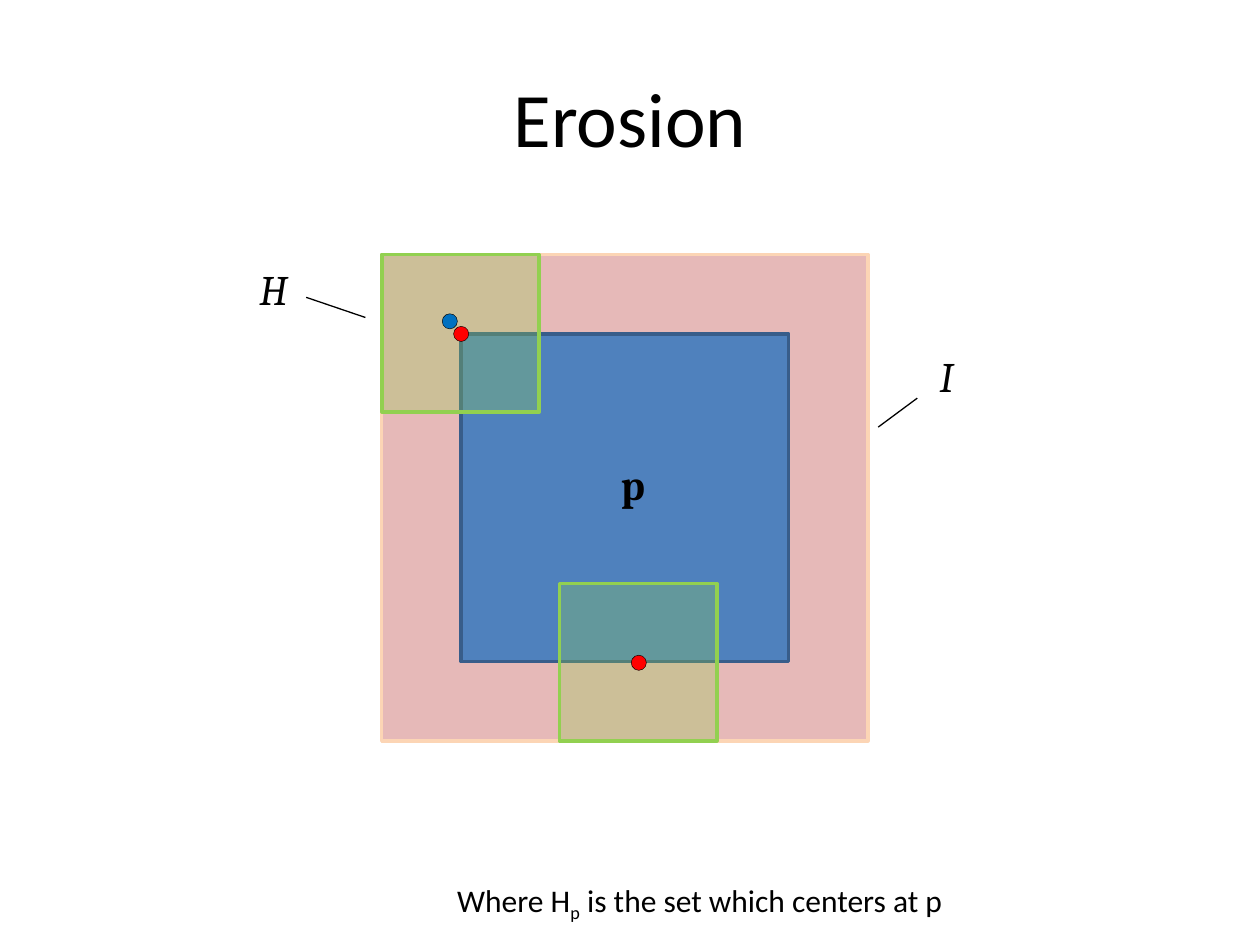
from lxml import etree
from pptx import Presentation
from pptx.dml.color import RGBColor
from pptx.enum.shapes import MSO_CONNECTOR, MSO_SHAPE
from pptx.enum.text import MSO_ANCHOR, PP_ALIGN
from pptx.oxml.ns import qn
from pptx.util import Inches, Pt

BLACK = RGBColor(0, 0, 0)
PINK = RGBColor(0xE6, 0xB9, 0xB8)
PEACH = RGBColor(0xFC, 0xD5, 0xB5)
BLUE = RGBColor(0x4F, 0x81, 0xBD)
NAVY = RGBColor(0x38, 0x5D, 0x8A)
GREEN = RGBColor(0x92, 0xD0, 0x50)
RED = RGBColor(0xFF, 0, 0)
AZURE = RGBColor(0, 0x70, 0xC0)


def add_text(slide, box, text, size=24, font="Cambria", bold=False,
             italic=False, align=PP_ALIGN.LEFT, anchor=MSO_ANCHOR.TOP,
             wrap=False, sub=None):
    frame = slide.shapes.add_textbox(*map(Inches, box)).text_frame
    frame.word_wrap = wrap
    frame.vertical_anchor = anchor
    para = frame.paragraphs[0]
    para.alignment = align
    parts = [text] if sub is None else text.partition(sub)
    for i, part in enumerate(parts):
        run = para.add_run()
        run.text = part
        run.font.name = font
        run.font.size = Pt(size)
        run.font.bold = bold
        run.font.italic = italic
        run.font.color.rgb = BLACK
        if i == 1:
            run.font._element.set("baseline", "-25000")


def add_form(group, kind, box, fill, edge, width, alpha=None):
    form = group.add_shape(kind, *map(Inches, box))
    form.shadow.inherit = False
    form.fill.solid()
    form.fill.fore_color.rgb = fill
    form.line.color.rgb = edge
    form.line.width = Pt(width)
    if alpha:
        color = form._element.spPr.find(qn("a:solidFill"))[0]
        etree.SubElement(color, qn("a:alpha"), val=str(alpha * 1000))


def add_square(group, x, y, side, fill, edge, alpha=None):
    add_form(group, MSO_SHAPE.RECTANGLE, (x, y, side, side), fill, edge, 2, alpha)


def add_dot(group, x, y, fill):
    size = 0.12
    box = (x - size / 2, y - size / 2, size, size)
    add_form(group, MSO_SHAPE.OVAL, box, fill, BLACK, 0.25)


def add_line(slide, start, end):
    line = slide.shapes.add_connector(
        MSO_CONNECTOR.STRAIGHT, *map(Inches, start + end))
    line.line.color.rgb = BLACK
    line.line.width = Pt(0.75)
    etree.SubElement(line._element.spPr, qn("a:effectLst"))


def add_figure(slide, x, y, side):
    mask, inset = 1.25, 0.63
    group = slide.shapes.add_group_shape().shapes
    add_square(group, x, y, side, PINK, PEACH)
    add_square(group, x + inset, y + inset, side - 2 * inset, BLUE, NAVY)
    for left, top in ((x, y), (x + 1.41, y + side - mask)):
        add_square(group, left, top, mask, GREEN, GREEN, 30)
        add_dot(group, left + inset, top + inset, RED)
    add_text(slide, (x + 1.8, y + 1.57, 0.41, 0.5), "p", bold=True)
    add_dot(slide.shapes, x + 0.54, y + 0.53, AZURE)


def add_labels(slide, x, y, side):
    right = x + side
    add_text(slide, (x - 1.07, y + 0.02, 0.46, 0.5), "H", italic=True)
    add_text(slide, (right + 0.47, y + 0.71, 0.32, 0.5), "I", italic=True)
    add_line(slide, (x - 0.6, y + 0.34), (x - 0.13, y + 0.5))
    add_line(slide, (right + 0.08, y + 1.37), (right + 0.39, y + 1.14))


def main():
    deck = Presentation()
    deck.slide_width, deck.slide_height = Inches(10), Inches(7.5)
    slide = deck.slides.add_slide(deck.slide_layouts[6])
    add_text(slide, (0.5, 0.3, 9, 1.25), "Erosion", size=44, font="Calibri",
             align=PP_ALIGN.CENTER, anchor=MSO_ANCHOR.MIDDLE, wrap=True)
    area = (3.03, 2.02, 3.86)
    add_figure(slide, *area)
    add_labels(slide, *area)
    add_text(slide, (3.53, 6.94, 4.07, 0.44),
             "Where Hp is the set which centers at p",
             size=18, font="Calibri", sub="p")
    deck.save("out.pptx")


if __name__ == "__main__":
    main()
